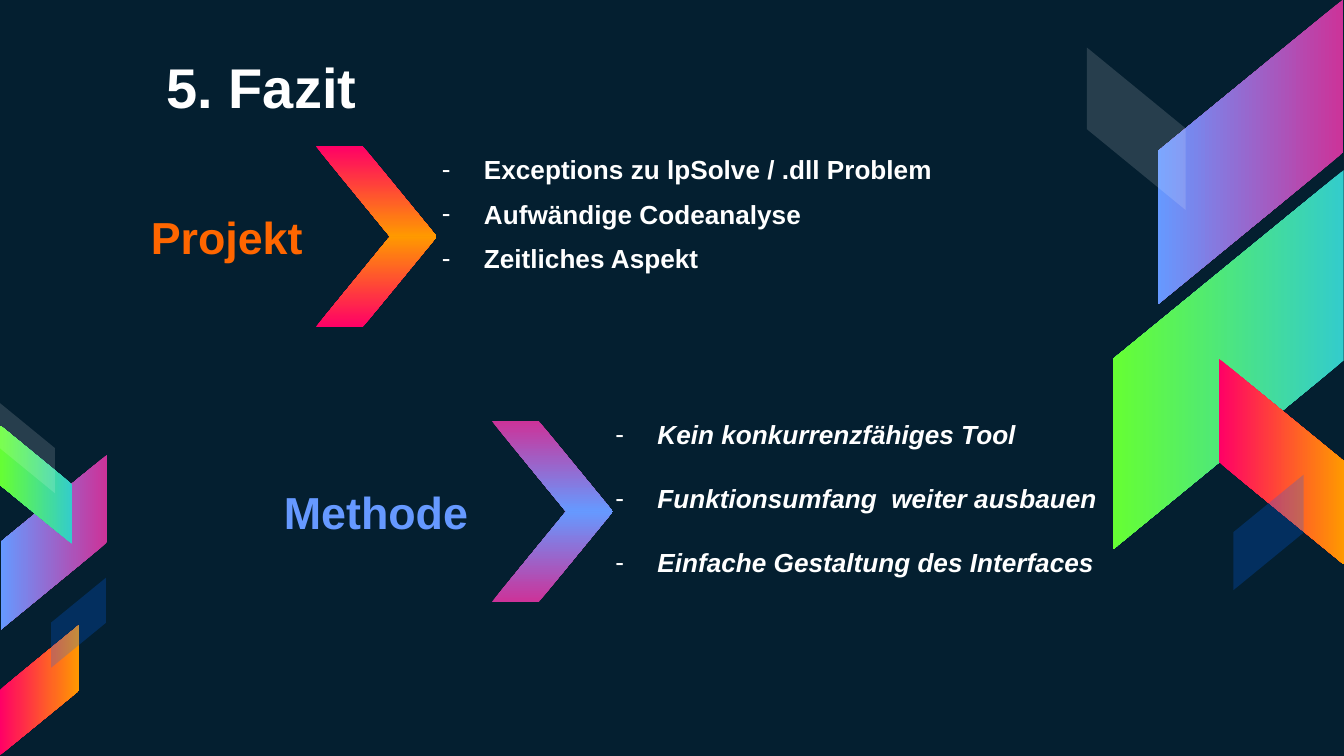
import pptx
import pptx.dml.color
import pptx.enum.shapes
import pptx.enum.text
import pptx.oxml.ns
import pptx.util
from lxml import etree

Pt = pptx.util.Pt
qn = pptx.oxml.ns.qn
ALIGN = pptx.enum.text.PP_ALIGN
ANCHOR = pptx.enum.text.MSO_ANCHOR

COLORS = {
    "night": "041F30", "white": "FFFFFF", "orange": "FF6600",
    "sky": "6699FF", "royal": "0066FF",
}
GRADIENTS = {
    "violet": ("CC3399", "6699FF"),
    "green": ("33CCCC", "66FF33"),
    "fire": ("FF0066", "FF9900"),
}
GLASS = {"white": 14, "royal": 23}  # opacity in percent
SLANT = 0.819
RIBBON_RATIO = 0.608

# left, top and length before rotation, rotation, flipped, paint
RIBBONS = [
    (588.2, 31.7, 163.4, 90, True, "violet"),
    (556.6, 131, 203, 90, True, "green"),
    (631.4, 213.8, 110.2, 270, False, "fire"),
    (565.2, 42.5, 87.1, 270, False, "white"),
    (648.7, 266.4, 61.9, 270, True, "royal"),
    (-18, 262.1, 93.6, 90, True, "violet"),
    (-12.2, 240.5, 63.4, 90, False, "green"),
    (-13.7, 348.5, 69.8, 270, True, "fire"),
    (-9.4, 225.4, 48.2, 270, False, "white"),
    (18, 319, 48.2, 270, True, "royal"),
]


def rgb(name):
    return pptx.dml.color.RGBColor.from_string(COLORS.get(name, name))


def paint_shape(shape, paint):
    """Fill with a top-to-bottom gradient or a see-through colour."""
    fill = shape.fill
    if paint in GRADIENTS:
        fill.gradient()
        fill.gradient_angle = 270
        for stop, color in zip(fill.gradient_stops, GRADIENTS[paint]):
            stop.color.rgb = rgb(color)
    else:
        fill.solid()
        fill.fore_color.rgb = rgb(paint)
        color = shape.element.spPr.find(".//" + qn("a:srgbClr"))
        etree.SubElement(color, qn("a:alpha"), val=str(GLASS[paint] * 1000))


def add_slanted(slide, left, top, width, height, rotation, flipped, paint):
    shape = slide.shapes.add_shape(
        pptx.enum.shapes.MSO_SHAPE.PARALLELOGRAM,
        Pt(left), Pt(top), Pt(width), Pt(height))
    shape.adjustments[0] = SLANT
    shape.rotation = rotation
    if flipped:
        shape.element.spPr.find(qn("a:xfrm")).set("flipH", "1")
    shape.shadow.inherit = False
    shape.line.fill.background()
    paint_shape(shape, paint)


def add_chevron(slide, left, top, paint):
    """Two mirrored parallelograms that point to the right."""
    width, height = 64.8, 48.5
    add_slanted(slide, left, top, width, height, 0, True, paint)
    add_slanted(slide, left, top + height, width, height, 180, False, paint)


def format_frame(frame, anchor, inset):
    margins = {"margin_left": 7.2, "margin_right": 7.2,
               "margin_top": inset, "margin_bottom": inset}
    for name, value in margins.items():
        setattr(frame, name, Pt(value))
    frame.word_wrap = True
    frame.auto_size = pptx.enum.text.MSO_AUTO_SIZE.NONE
    frame.vertical_anchor = anchor


def write(paragraph, text, size, color, align=ALIGN.LEFT, italic=False):
    paragraph.alignment = align
    run = paragraph.add_run()
    run.text = text
    style = {"name": "Arial", "size": Pt(size), "bold": True, "italic": italic}
    for name, value in style.items():
        setattr(run.font, name, value)
    run.font.color.rgb = rgb(color)


def add_title(slide, text):
    title = slide.shapes.title
    place = {"left": 82.1, "top": 20.9, "width": 470, "height": 50.4}
    for name, value in place.items():
        setattr(title, name, Pt(value))
    format_frame(title.text_frame, ANCHOR.BOTTOM, 7.2)
    write(title.text_frame.paragraphs[0], text, 30, "white")


def add_label(slide, left, top, width, text, color):
    box = slide.shapes.add_textbox(Pt(left), Pt(top), Pt(width), Pt(97.2))
    format_frame(box.text_frame, ANCHOR.MIDDLE, 7.2)
    write(box.text_frame.paragraphs[0], text, 24, color, ALIGN.RIGHT)


def add_dashes(slide, left, top, height, gap, items, italic=False):
    box = slide.shapes.add_textbox(Pt(left), Pt(top), Pt(360), Pt(height))
    frame = box.text_frame
    format_frame(frame, ANCHOR.TOP, 4.5)
    for index, item in enumerate(items):
        paragraph = frame.paragraphs[0] if index == 0 else frame.add_paragraph()
        write(paragraph, item, 14, "white", italic=italic)
        paragraph.space_after = Pt(gap)
        properties = paragraph._p.get_or_add_pPr()
        properties.set("marL", str(Pt(22.5)))
        properties.set("indent", str(-Pt(22.5)))
        etree.SubElement(properties, qn("a:buFont"), typeface="Arial")
        etree.SubElement(properties, qn("a:buChar"), char="-")


def main():
    deck = pptx.Presentation()
    deck.slide_width, deck.slide_height = Pt(720), Pt(405)
    slide = deck.slides.add_slide(deck.slide_layouts[5])
    slide.background.fill.solid()
    slide.background.fill.fore_color.rgb = rgb("night")

    for left, top, length, rotation, flipped, paint in RIBBONS:
        add_slanted(slide, left, top, length, length * RIBBON_RATIO,
                    rotation, flipped, paint)

    add_title(slide, "5. Fazit")

    add_chevron(slide, 263.5, 225.5, "violet")
    add_chevron(slide, 169.2, 78.2, "fire")
    add_label(slide, 50.4, 77.9, 118.8, "Projekt", "orange")
    add_label(slide, 110.2, 225.4, 147.6, "Methode", "sky")
    add_dashes(slide, 322.6, 219.6, 92.2, 17.6, [
        "Kein konkurrenzfähiges Tool",
        "Funktionsumfang  weiter ausbauen",
        "Einfache Gestaltung des Interfaces",
    ], italic=True)
    add_dashes(slide, 229.7, 77.8, 95.8, 7, [
        "Exceptions zu lpSolve / .dll Problem",
        "Aufwändige Codeanalyse",
        "Zeitliches Aspekt",
    ])
    deck.save("out.pptx")


if __name__ == "__main__":
    main()
